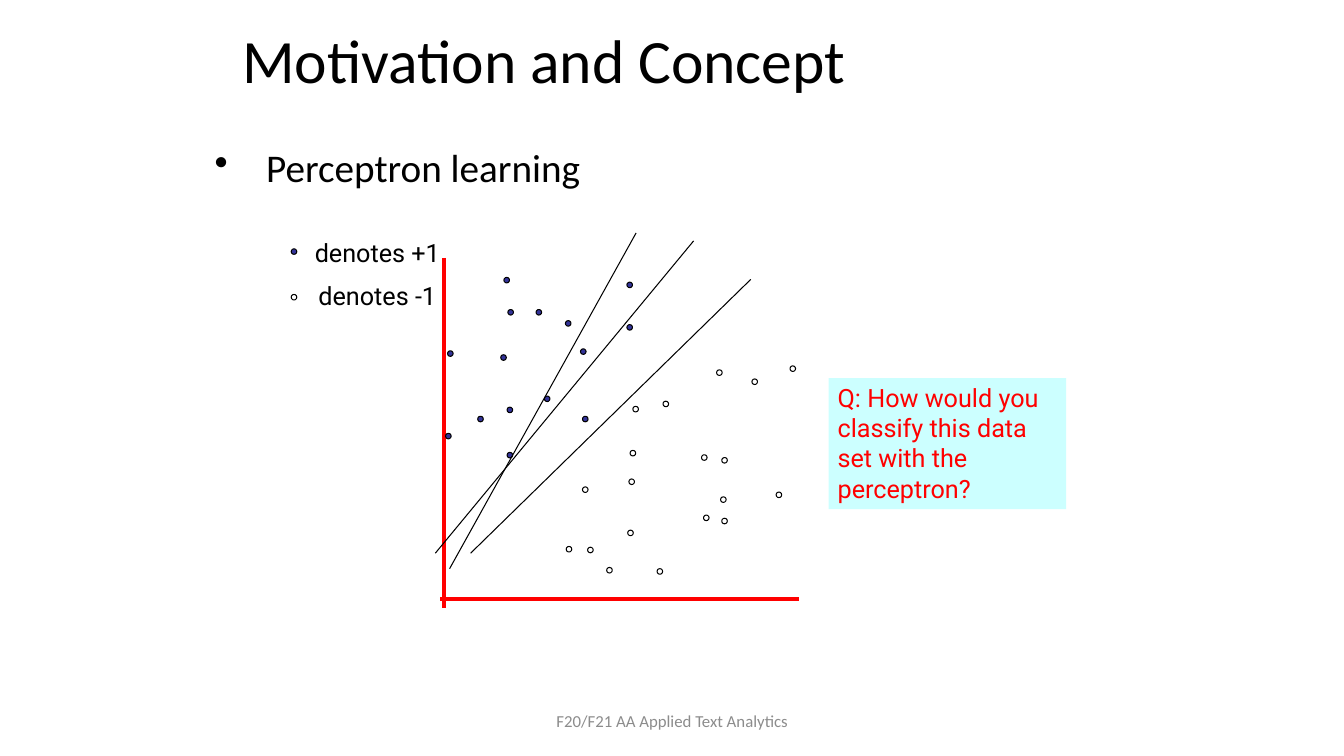
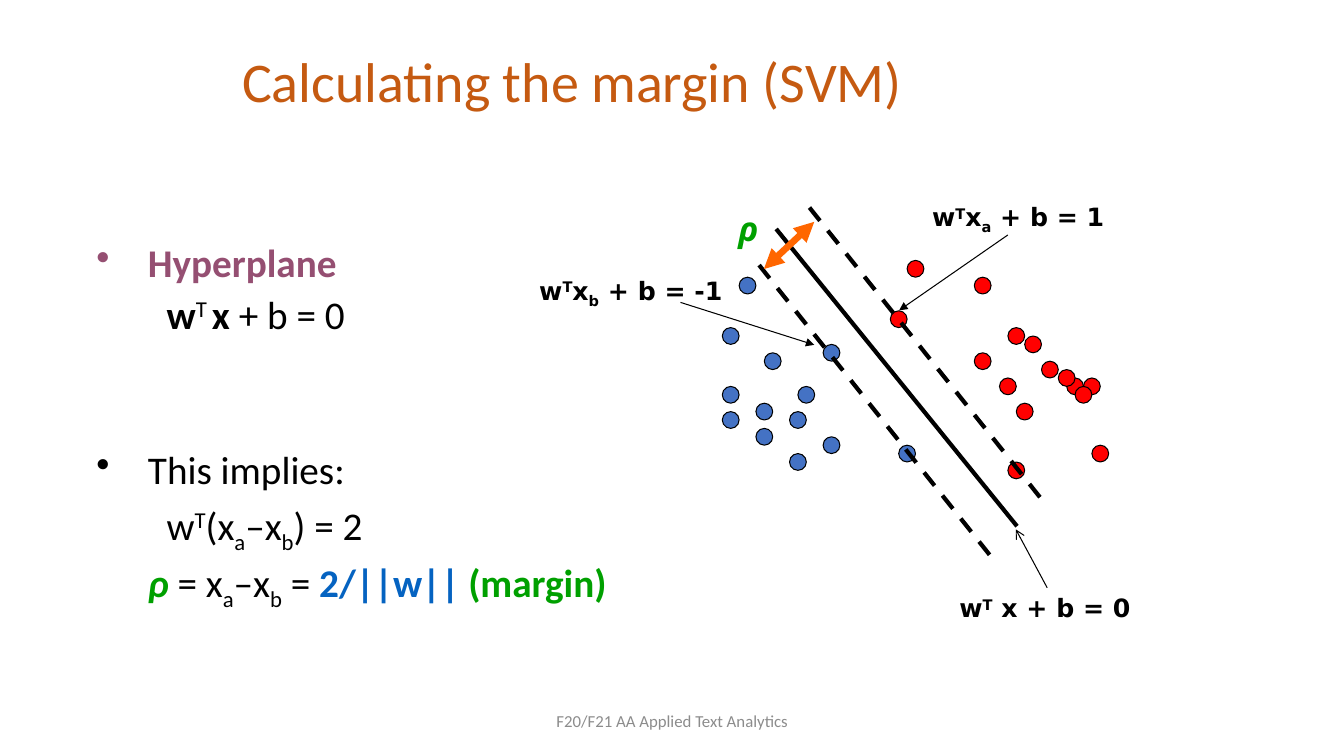
import pptx
import pptx.util
import pptx.dml.color
import pptx.enum.dml
import pptx.enum.shapes
import pptx.enum.text
import pptx.oxml.ns
from lxml import etree

Cm, Pt = pptx.util.Cm, pptx.util.Pt
RGBColor = pptx.dml.color.RGBColor
ALIGN = pptx.enum.text.PP_ALIGN
MIDDLE = pptx.enum.text.MSO_ANCHOR.MIDDLE
SHAPE = pptx.enum.shapes.MSO_SHAPE
DASH = pptx.enum.dml.MSO_LINE.DASH

BLACK = RGBColor(0x00, 0x00, 0x00)
WHITE = RGBColor(0xFF, 0xFF, 0xFF)
RED = RGBColor(0xFF, 0x00, 0x00)
GREY = RGBColor(0x8C, 0x8C, 0x8C)
RUST = RGBColor(0xC5, 0x5A, 0x11)
INDIGO = RGBColor(0x33, 0x33, 0x99)
BLUE = RGBColor(0x44, 0x72, 0xC4)
LINK_BLUE = RGBColor(0x05, 0x63, 0xC1)
PURPLE = RGBColor(0x95, 0x4F, 0x72)
GREEN = RGBColor(0x00, 0xA0, 0x00)
ORANGE = RGBColor(0xFF, 0x66, 0x00)
PALE_CYAN = RGBColor(0xCC, 0xFF, 0xFF)

BODY = {"name": "Calibri", "size": Pt(28), "color": BLACK}
FOOTER = {"name": "Calibri", "size": Pt(12), "color": GREY}
NOTE = {"name": "Roboto", "size": Pt(18), "color": BLACK}
LABEL = {"name": "DejaVu Sans", "size": Pt(18), "color": BLACK, "bold": True}
RHO = {"name": "Open Sans", "size": Pt(24), "color": GREEN, "bold": True, "italic": True}
BOLD = {"bold": True}
SUPER = {"baseline": 30000}
SUB = {"baseline": -25000}

FOOTER_TEXT = "F20/F21 AA Applied Text Analytics"
HANG = 1.3
NOTE_INSETS = (0.23, 0.1)

# Slide 1: left and top of each point, in centimetres; the first is the legend key
POINT_SIZE = Cm(0.14)
PLUS_POINTS = [
    (7.34, 6.27), (11.23, 10.92), (15.8, 8.18), (13.51, 7.8), (14.68, 10.49),
    (12.62, 8.94), (12.8, 7.8), (12.78, 10.26), (14.63, 8.79), (12.78, 11.4),
    (15.8, 7.11), (12.7, 6.99), (13.72, 9.98), (12.04, 10.49), (14.25, 8.08),
    (11.28, 8.84),
]
MINUS_POINTS = [
    (7.34, 7.42), (14.27, 13.77), (15.95, 10.24), (17.68, 11.46), (14.68, 12.27),
    (19.91, 9.22), (18.16, 12.52), (16.71, 10.11), (19.56, 12.4), (15.29, 14.3),
    (18.19, 11.53), (15.88, 11.35), (18.95, 9.55), (18.06, 9.32), (17.73, 12.98),
    (16.56, 14.33), (15.82, 13.36), (15.85, 12.07), (14.81, 13.79), (18.19, 13.06),
]
AXES = [(11.2, 6.5, 11.2, 15.32), (11.1, 15.09, 20.14, 15.09)]
SEPARATORS = [
    (11.33, 14.33, 16.03, 5.87), (11.86, 13.94, 18.92, 7.04), (17.48, 6.07, 10.97, 13.94),
]
LEGEND = ["denotes +1", "denotes -1"]
QUESTION = "Q: How would you classify this data set with the perceptron?"

# Slide 2: left and top of each point, in grid steps
GRID = Cm(2.54) // 12
BLUE_POINTS = [
    (88, 33), (86, 46), (91, 42), (86, 49), (90, 51), (94, 49), (98, 52),
    (90, 48), (86, 39), (98, 41), (107, 53), (95, 46), (94, 54),
]
RED_POINTS = [
    (108, 31), (116, 33), (120, 39), (106, 37), (124, 43), (127, 45), (121, 48), (129, 45),
    (130, 53), (120, 55), (116, 42), (122, 40), (119, 45), (126, 44), (128, 46),
]
MARGIN_STEPS = [
    {"runs": [("Hyperplane", {"color": PURPLE, "bold": True})], "bullet": True},
    {"runs": [("w", BOLD), ("T ", SUPER), ("x", BOLD), (" + b = 0", {})],
     "indent": 1.77, "before": 10},
    {"runs": [("This implies:", {})], "bullet": True, "before": 84},
    {"runs": [("w", {}), ("T", SUPER), ("(x", {}), ("a", SUB), ("–x", {}), ("b", SUB),
              (") = 2", {})], "indent": 1.77, "before": 10},
    {"runs": [("ρ", {"color": GREEN, "bold": True, "italic": True}), (" = x", {}),
              ("a", SUB), ("–x", {}), ("b", SUB), (" = ", {}),
              ("2/||w|| ", {"color": LINK_BLUE, "bold": True}),
              ("(margin)", {"color": GREEN, "bold": True})],
     "indent": HANG, "before": 10},
]
MARGIN_LINES = [
    ((19.56, 5.77, 25.63, 13.26), {"width": 3}),
    ((19.13, 6.68, 24.97, 14.02), {"width": 3, "dash": DASH}),
    ((20.4, 5.23, 26.24, 12.57), {"width": 3, "dash": DASH}),
    ((25.4, 5.92, 22.66, 7.82), {"tail": "triangle"}),
    ((17.15, 7.62, 20.52, 8.69), {"tail": "triangle"}),
    ((19.25, 6.78, 20.52, 5.59),
     {"color": ORANGE, "width": 4.75, "head": "triangle", "tail": "triangle"}),
    ((26.39, 14.81, 25.6, 13.34), {"tail": "arrow"}),
]
PLOT_LABELS = [
    ((23.93, 14.81, 4.93, 1.02), LABEL, [("w", {}), ("T", SUPER), (" x + b = 0", {})]),
    ((23.24, 4.95, 5, 1.02), LABEL,
     [("w", {}), ("T", SUPER), ("x", {}), ("a", SUB), (" + b = 1", {})]),
    ((13.34, 6.81, 5.31, 1.02), LABEL,
     [("w", {}), ("T", SUPER), ("x", {}), ("b", SUB), (" + b = -1", {})]),
    ((18.36, 5.11, 0.97, 1.27), RHO, [("ρ", {})]),
]


def plain(text, **options):
    return {"runs": [(text, {})], **options}


def add_span(para, text, style):
    span = para.add_run()
    span.text = text
    for key, value in style.items():
        if key == "color":
            span.font.color.rgb = value
        elif key == "baseline":
            span.font._element.set("baseline", str(value))
        else:
            setattr(span.font, key, value)


def indent(para, left, bullet):
    """Indent a paragraph, with its bullet hanging at the box edge."""
    props = para._p.get_or_add_pPr()
    props.set("marL", str(Cm(left)))
    props.set("indent", str(-Cm(left) if bullet else 0))
    if bullet:
        etree.SubElement(props, pptx.oxml.ns.qn("a:buChar")).set("char", "•")


def write(shape, paragraphs, style, align=ALIGN.LEFT, spacing=None, anchor=None,
          insets=None, wrap=True):
    frame = shape.text_frame
    frame.word_wrap = wrap
    if anchor is not None:
        frame.vertical_anchor = anchor
    if insets:
        frame.margin_left = frame.margin_right = Cm(insets[0])
        frame.margin_top = frame.margin_bottom = Cm(insets[1])
    for index, item in enumerate(paragraphs):
        para = frame.add_paragraph() if index else frame.paragraphs[0]
        bullet = item.get("bullet", False)
        if bullet or "indent" in item:
            indent(para, item.get("indent", HANG), bullet)
        para.alignment = align
        if spacing:
            para.line_spacing = spacing
        para.space_before = Pt(item.get("before", 0))
        for text, changes in item["runs"]:
            add_span(para, text, {**style, **changes})


def add_text(page, place, paragraphs, style, **layout):
    box = page.shapes.add_textbox(*map(Cm, place))
    write(box, paragraphs, style, **layout)


def add_filled(page, kind, place, fill, outlined=True):
    shape = page.shapes.add_shape(kind, *place)
    shape.shadow.inherit = False
    shape.fill.solid()
    shape.fill.fore_color.rgb = fill
    if outlined:
        shape.line.color.rgb = BLACK
        shape.line.width = Pt(0.75)
    else:
        shape.line.fill.background()
    return shape


def add_points(page, points, unit, size, fill):
    for left, top in points:
        place = (round(left * unit), round(top * unit), size, size)
        add_filled(page, SHAPE.OVAL, place, fill)


def add_line(page, ends, color=BLACK, width=0.75, dash=None, head=None, tail=None):
    connector = page.shapes.add_connector(
        pptx.enum.shapes.MSO_CONNECTOR.STRAIGHT, *map(Cm, ends))
    connector.line.color.rgb = color
    connector.line.width = Pt(width)
    if dash is not None:
        connector.line.dash_style = dash
    stroke = connector.line._get_or_add_ln()
    for tag, arrow in (("a:headEnd", head), ("a:tailEnd", tail)):
        if arrow:
            etree.SubElement(stroke, pptx.oxml.ns.qn(tag)).set("type", arrow)
    etree.SubElement(connector._element.spPr, pptx.oxml.ns.qn("a:effectLst"))


def add_page(deck, title, top, height, size, color):
    """Add a slide with the shared title style and footer."""
    page = deck.slides.add_slide(deck.slide_layouts[6])
    style = {"name": "Calibri", "size": Pt(size), "color": color}
    add_text(page, (5.85, top, 23.4, height), [plain(title)], style,
             spacing=0.9, anchor=MIDDLE)
    add_text(page, (11.23, 17.65, 11.43, 1.02), [plain(FOOTER_TEXT)], FOOTER,
             align=ALIGN.CENTER, anchor=MIDDLE)
    return page


def build_motivation(deck):
    page = add_page(deck, "Motivation and Concept", 0, 3.18, 44, BLACK)
    add_text(page, (5.16, 3.38, 23.75, 2), [plain("Perceptron learning", bullet=True)],
             BODY, spacing=1.1)
    legend = [plain(text, before=9.5 if row else 0) for row, text in enumerate(LEGEND)]
    add_text(page, (7.16, 5.87, 4.7, 2.16), legend, NOTE,
             align=ALIGN.CENTER, insets=NOTE_INSETS)
    for ends in AXES:
        add_line(page, ends, RED, 3)
    for points, fill in ((PLUS_POINTS, INDIGO), (MINUS_POINTS, WHITE)):
        add_points(page, points, Cm(1), POINT_SIZE, fill)
    question = add_filled(page, SHAPE.RECTANGLE, map(Cm, (20.88, 9.53, 5.99, 3.3)),
                          PALE_CYAN, outlined=False)
    write(question, [plain(QUESTION)], {**NOTE, "color": RED},
          anchor=pptx.enum.text.MSO_ANCHOR.TOP, insets=NOTE_INSETS)
    for ends in SEPARATORS:
        add_line(page, ends)


def build_margin(deck):
    page = add_page(deck, "Calculating the margin (SVM)", 0.43, 3.38, 40, RUST)
    add_text(page, (2.18, 6.12, 19.58, 9.42), MARGIN_STEPS, BODY, spacing=0.8)
    for points, fill in ((BLUE_POINTS, BLUE), (RED_POINTS, RED)):
        add_points(page, points, GRID, 2 * GRID, fill)
    for ends, look in MARGIN_LINES:
        add_line(page, ends, **look)
    for place, style, runs in PLOT_LABELS:
        add_text(page, place, [{"runs": runs}], style, wrap=False)


def main():
    deck = pptx.Presentation()
    deck.slide_width, deck.slide_height = Cm(33.87), Cm(19.05)
    build_motivation(deck)
    build_margin(deck)
    deck.save("out.pptx")


if __name__ == "__main__":
    main()
